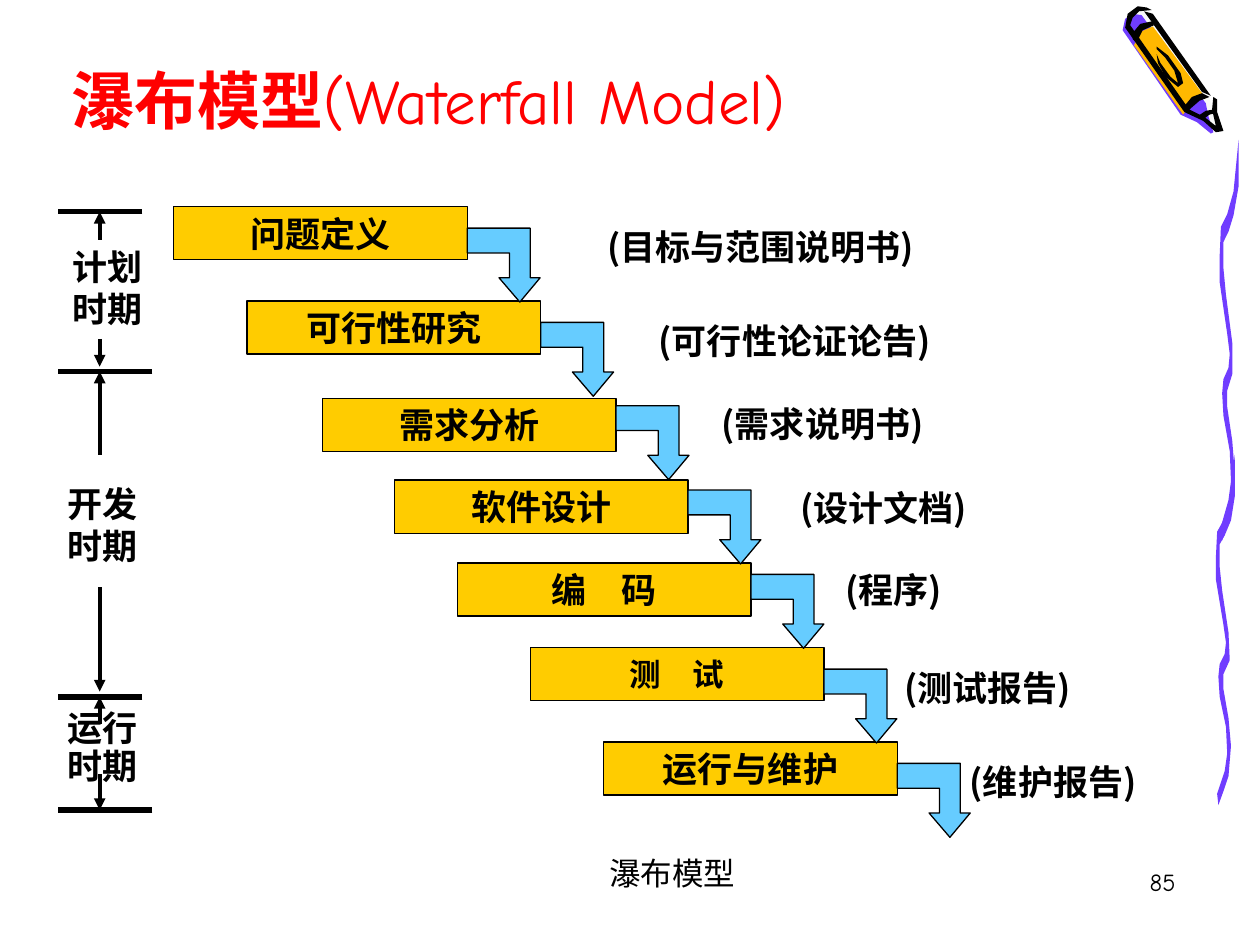
import pptx
import pptx.dml.color
import pptx.enum.shapes
import pptx.enum.text
import pptx.oxml.ns
import pptx.util
from lxml import etree

Cm, Pt = pptx.util.Cm, pptx.util.Pt
Align = pptx.enum.text.PP_ALIGN
Anchor = pptx.enum.text.MSO_ANCHOR
qn = pptx.oxml.ns.qn

COLORS = {
    "ink": "000000", "title": "FF0000", "step": "FFCC00", "flow": "66CCFF",
    "violet": "703DFF", "amber": "FFB800", "paper": "F8F8F8",
}
LATIN, ROUNDED = "Times New Roman", "Comic Neue"
HAN, TITLE_HAN = "Noto Sans CJK SC", "Noto Sans CJK JP"
HUNDREDTH_INCH = Cm(0.0254)
HUNDREDTH_CM = Cm(0.01)

STEP_WIDTH, STEP_HEIGHT = 5.92, 1.07
STEPS = [
    ("问题定义", 20, 3.5, 4.17, 4.6),
    ("可行性研究", 20, 4.98, 6.07, 6.5),
    ("需求分析", 20, 6.5, 8.03, 8.18),
    ("软件设计", 20, 7.95, 9.68, 9.88),
    ("编　码", 20, 9.22, 11.35, 11.58),
    ("测　试", 18, 10.69, 13.06, 13.49),
    ("运行与维护", 20, 12.17, 14.96, 15.39),
]
FLOW_ARROW = [(106, 149), (64, 100), (85, 100), (85, 50), (0, 50),
              (0, 0), (127, 0), (127, 100), (147, 100)]
DELIVERABLES = [
    ("(目标与范围说明书)", 11.99, 4.42, 6.99, 1.96),
    ("(可行性论证论告)", 13.03, 6.32, 6.99, 1.12),
    ("(需求说明书)", 14.3, 7.98, 6.15, 1.12),
    ("(设计文档)", 15.88, 9.68, 6.15, 1.12),
    ("(程序)", 16.79, 11.33, 6.15, 1.12),
    ("(测试报告)", 17.98, 13.31, 6.15, 1.12),
    ("(维护报告)", 19.3, 15.21, 5.38, 1.12),
]
PERIODS = [
    (["计划时期"], 1.22, 4.83, 2.34, 1.96, None),
    (["开发", "时期"], 1.12, 9.6, 2.87, 1.96, None),
    (["运行", "时期"], 1.12, 14.22, 2.87, 1.78, 0.9),
]
BAR_LEFT, AXIS = 1.17, 2.01
BARS = [(4.27, 2.87), (7.49, 3.07), (14.05, 2.87), (16.33, 3.07)]
SPANS = [(4.83, 4.27), (6.83, 7.39), (9.17, 7.49),
         (11.84, 13.94), (14.6, 14.05), (15.6, 16.33)]

RIBBON = [
    [(966, 630), (972, 612), (974, 598), (973, 577), (968, 553), (967, 537),
     (968, 527), (972, 519), (973, 510), (971, 496), (965, 460), (965, 442),
     (966, 422), (971, 413), (976, 397), (980, 361), (980, 394), (977, 413),
     (972, 425), (968, 432), (968, 450), (970, 469), (975, 502), (976, 524),
     (971, 535), (971, 547), (975, 570), (977, 592), (975, 616), (971, 628),
     (967, 639)],
    [(969, 418), (975, 397), (977, 382), (976, 358), (971, 330), (970, 312),
     (971, 301), (975, 292), (976, 281), (974, 265), (968, 224), (968, 203),
     (969, 180), (974, 170), (979, 152), (983, 111), (983, 148), (979, 171),
     (975, 184), (971, 192), (971, 213), (973, 234), (978, 272), (978, 297),
     (974, 310), (974, 323), (978, 350), (980, 375), (978, 402), (974, 417),
     (970, 429)],
]
CRAYON = [
    ("paper", [(968, 100), (963, 86), (953, 64), (911, 7), (904, 6), (897, 11),
               (896, 20), (941, 86), (956, 93), (966, 102)]),
    ("violet", [(906, 12), (957, 82), (959, 92), (963, 105), (961, 106),
                (950, 97), (937, 91), (891, 24), (893, 15), (899, 11)]),
    ("amber", [(900, 36), (939, 91), (947, 80), (957, 78), (915, 21), (906, 25)]),
    ("ink", [(963, 87), (957, 88), (951, 92), (956, 94), (960, 91), (964, 90)]),
    ("ink", [(910, 6), (903, 5), (895, 11), (893, 22), (940, 89), (955, 96),
             (965, 105), (971, 104), (966, 89), (966, 79), (963, 77), (962, 87),
             (965, 100), (956, 93), (944, 87), (952, 80), (960, 77), (954, 74),
             (946, 77), (941, 83), (897, 20), (899, 14), (904, 9), (914, 8)]),
    ("ink", [(915, 11), (961, 76), (954, 73), (908, 9)]),
    ("ink", [(914, 17), (905, 19), (900, 25), (899, 31), (902, 34), (907, 24),
             (916, 20)]),
    ("ink", [(918, 39), (925, 46), (932, 56), (935, 66), (929, 61), (921, 50),
             (918, 43), (919, 50), (925, 61), (935, 69), (939, 66), (937, 58),
             (927, 44), (918, 37)]),
]


class Painter:
    def __init__(self, page):
        self.page = page

    def color(self, name):
        return pptx.dml.color.RGBColor.from_string(COLORS[name])

    def style(self, font, size, latin, han=HAN, bold=False, color="ink"):
        font.size, font.bold, font.name = Pt(size), bold, latin
        font.color.rgb = self.color(color)
        latin_tag = font._element.find(qn("a:latin")) if hasattr(font, "_element") \
            else font._rPr.find(qn("a:latin"))
        east = etree.Element(qn("a:ea"), typeface=han)
        latin_tag.addnext(east)

    def paint(self, shape, fill, outlined):
        shape.shadow.inherit = False
        shape.fill.solid()
        shape.fill.fore_color.rgb = self.color(fill)
        if outlined:
            shape.line.color.rgb = self.color("ink")
            shape.line.width = Pt(0.75)
        else:
            shape.line.fill.background()

    def title(self, parts, left, top, width, height):
        box = self.page.shapes.title
        box.left, box.top, box.width, box.height = map(Cm, (left, top, width, height))
        box.text_frame.vertical_anchor = Anchor.BOTTOM
        para = box.text_frame.paragraphs[0]
        para.alignment = Align.LEFT
        for text, latin, bold in parts:
            span = para.add_run()
            span.text = text
            self.style(span.font, 36, latin, TITLE_HAN, bold, "title")

    def text(self, lines, left, top, width, height, size=20, latin=LATIN,
             bold=True, align=Align.LEFT, spacing=None):
        box = self.page.shapes.add_textbox(Cm(left), Cm(top), Cm(width), Cm(height))
        frame = box.text_frame
        frame.word_wrap = True
        frame.text = "\n".join(lines)
        for para in frame.paragraphs:
            para.alignment = align
            para.line_spacing = spacing
            self.style(para.font, size, latin, bold=bold)

    def step(self, label, size, left, top):
        box = self.page.shapes.add_shape(
            pptx.enum.shapes.MSO_SHAPE.RECTANGLE,
            Cm(left), Cm(top), Cm(STEP_WIDTH), Cm(STEP_HEIGHT))
        self.paint(box, "step", True)
        box.text_frame.word_wrap = False
        box.text_frame.vertical_anchor = Anchor.MIDDLE
        para = box.text_frame.paragraphs[0]
        para.text = label
        para.alignment = Align.CENTER
        self.style(para.font, size, LATIN, bold=True)

    def outline(self, points, scale, fill, left=0, top=0, outlined=False):
        builder = self.page.shapes.build_freeform(*points[0], scale=scale)
        builder.add_line_segments(points[1:], close=True)
        self.paint(builder.convert_to_shape(Cm(left), Cm(top)), fill, outlined)

    def line(self, x1, y1, x2, y2, width, arrow=False):
        line = self.page.shapes.add_connector(
            pptx.enum.shapes.MSO_CONNECTOR.STRAIGHT, Cm(x1), Cm(y1), Cm(x2), Cm(y2))
        line.line.color.rgb = self.color("ink")
        line.line.width = Pt(width)
        if arrow:
            etree.SubElement(line.line._get_or_add_ln(), qn("a:tailEnd"), type="triangle")
        etree.SubElement(line._element.spPr, qn("a:effectLst"))


def main():
    deck = pptx.Presentation()
    deck.slide_width, deck.slide_height = Cm(25.4), Cm(19.05)
    painter = Painter(deck.slides.add_slide(deck.slide_layouts[5]))
    for points in RIBBON:
        painter.outline(points, HUNDREDTH_INCH, "violet")
    for fill, points in CRAYON:
        painter.outline(points, HUNDREDTH_INCH, fill)
    painter.title([("瀑布模型", TITLE_HAN, True), ("(Waterfall Model)", ROUNDED, False)],
                  1.19, 1.02, 19, 1.88)
    for label, size, left, top, flow_top in STEPS:
        painter.step(label, size, left, top)
    for label, size, left, top, flow_top in STEPS:
        painter.outline(FLOW_ARROW, HUNDREDTH_CM, "flow", left + STEP_WIDTH, flow_top, True)
    for lines, left, top, width, height, spacing in PERIODS:
        painter.text(lines, left, top, width, height, spacing=spacing)
    for y, right in BARS:
        painter.line(right, y, BAR_LEFT, y, 3)
    for start, end in SPANS:
        painter.line(AXIS, start, AXIS, end, 2.25, arrow=True)
    for label, *place in DELIVERABLES:
        painter.text([label], *place, latin=HAN)
    painter.text(["瀑布模型"], 10.11, 17.09, 6.88, 1.02, 18, bold=False, align=Align.CENTER)
    painter.text(["85"], 18.67, 17.35, 5.28, 1.27, 14, ROUNDED, False, Align.RIGHT)
    deck.save("out.pptx")


if __name__ == "__main__":
    main()
